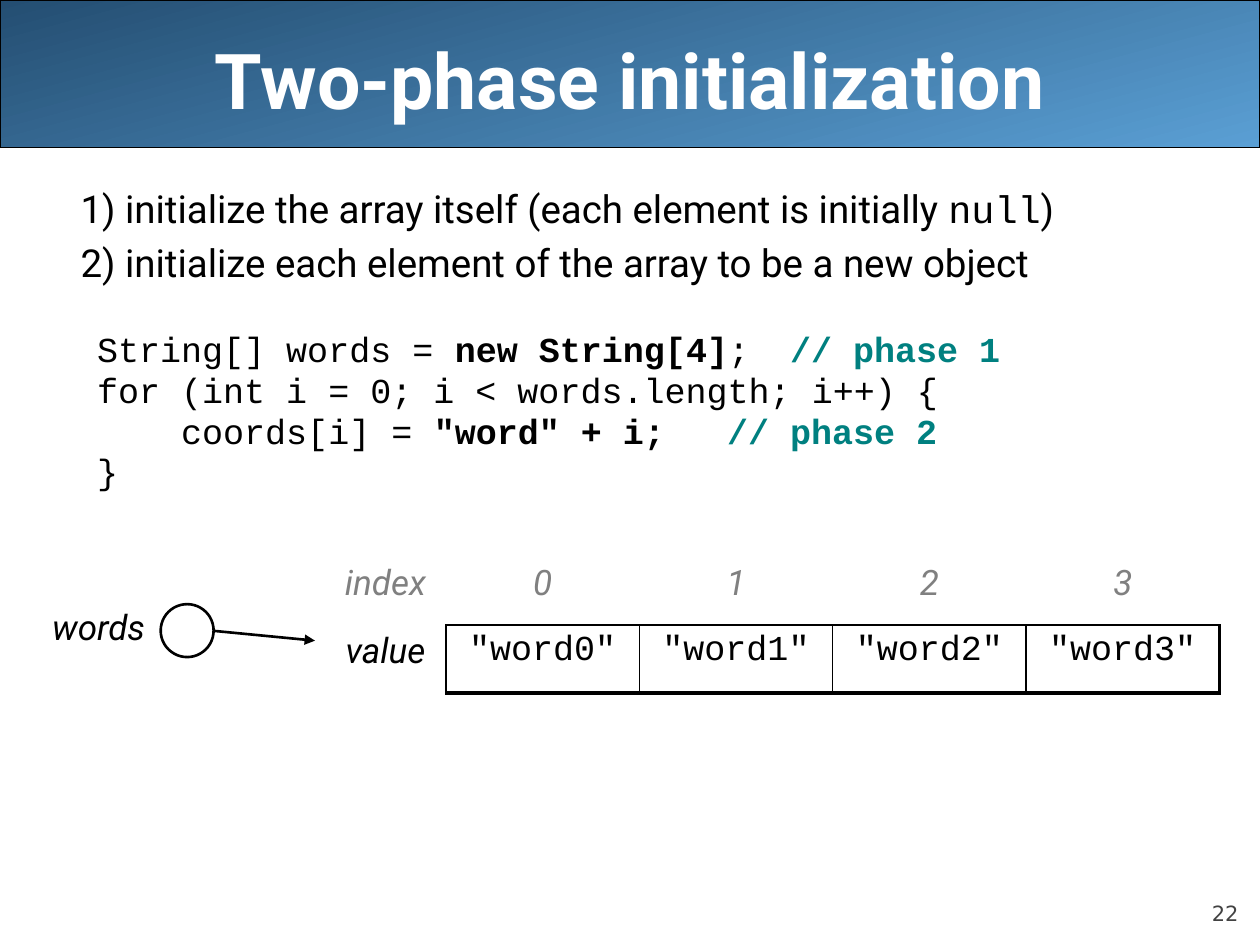
from collections import namedtuple

from lxml.etree import SubElement
from pptx import Presentation
from pptx.dml.color import RGBColor
from pptx.enum.shapes import MSO_CONNECTOR, MSO_SHAPE
from pptx.enum.text import MSO_ANCHOR, MSO_AUTO_SIZE, PP_ALIGN
from pptx.oxml.ns import qn
from pptx.util import Inches, Pt

COLUMNS, ROWS = 10, 7.5
UNIT = Inches(1)
SANS, MONO = "Roboto", "Courier New"
BLACK, WHITE, GREY, TEAL = "000000", "FFFFFF", "808080", "008080"
PLAIN_TABLE_STYLE = "{2D5ABB26-0587-4C30-8999-92F81FD0307C}"

Box = namedtuple("Box", "left top width height")

STEPS = [
    [("1) initialize the array itself (each element is initially ", SANS),
     ("null", MONO), (")", SANS)],
    [("2) initialize each element of the array to be a new object", SANS)],
]
# Each code line: plain start, bold part, plain end, comment
CODE = [
    ("String[] words = ", "new String[4]", ";", "// phase 1"),
    ("for (int i = 0; i < words.length; i++) {", "", "", ""),
    ("    coords[i] = ", '"word" + i;', "", "// phase 2"),
    ("}", "", "", ""),
]
WORDS = ['"word0"', '"word1"', '"word2"', '"word3"']


def colour(hex_string):
    return RGBColor.from_string(hex_string)


def grid(*cells):
    """Turn grid cells into slide lengths."""
    return [round(cell * UNIT) for cell in cells]


def style(font, size, name=SANS, hex_string=BLACK, bold=False, italic=False):
    font.size, font.name = Pt(size), name
    font.bold, font.italic = bold, italic
    font.color.rgb = colour(hex_string)


def place(shape, box):
    shape.left, shape.top, shape.width, shape.height = grid(*box)


def add_header(slide, banner, title_box):
    band = slide.shapes.add_shape(MSO_SHAPE.ROUNDED_RECTANGLE, *grid(*banner))
    band.adjustments[0] = 0
    band.shadow.inherit = False
    band.fill.gradient()
    band.fill.gradient_angle = 360 - 75
    for stop, shade in zip(band.fill.gradient_stops, ("244E72", "5A9FD4")):
        stop.color.rgb = colour(shade)
    band.line.color.rgb = colour(BLACK)
    band.line.width = Pt(0.75)
    slide.shapes._spTree.insert(2, band._element)

    title = slide.shapes.title
    place(title, title_box)
    title.text_frame.text = "Two-phase initialization"
    title.text_frame.vertical_anchor = MSO_ANCHOR.MIDDLE
    title.text_frame.auto_size = MSO_AUTO_SIZE.NONE
    heading = title.text_frame.paragraphs[0]
    heading.alignment = PP_ALIGN.CENTER
    style(heading.font, 44, hex_string=WHITE, bold=True)


def set_indent(paragraph, margin, hanging, tab_stops=()):
    """Set indents and tab stops, and turn the bullet off."""
    properties = paragraph._p.get_or_add_pPr()
    properties.set("marL", str(Inches(margin)))
    properties.set("indent", str(Inches(hanging)))
    SubElement(properties, qn("a:buNone"))
    if tab_stops:
        tabs = SubElement(properties, qn("a:tabLst"))
        for stop in tab_stops:
            SubElement(tabs, qn("a:tab"), pos=str(Inches(stop)), algn="l")


def add_run(paragraph, text, **looks):
    run = paragraph.add_run()
    run.text = text
    style(run.font, **looks)


def add_explanation(slide, box):
    body = slide.placeholders[1]
    place(body, box)
    frame = body.text_frame
    frame.auto_size = MSO_AUTO_SIZE.NONE
    for number, step in enumerate(STEPS):
        paragraph = frame.add_paragraph() if number else frame.paragraphs[0]
        paragraph.level = 1
        set_indent(paragraph, 0.68, -0.31)
        paragraph.space_before = Pt(4.4 if number else 0)
        for text, name in step:
            add_run(paragraph, text, size=22, name=name)

    for number, (start, strong, end, comment) in enumerate(CODE):
        paragraph = frame.add_paragraph()
        paragraph.level = 1
        set_indent(paragraph, 0, 0, tab_stops=(0.68, 7.7))
        paragraph.line_spacing = 0.8
        paragraph.space_before = Pt(4 if number else 29)
        parts = [("\t" + start, BLACK, False), (strong, BLACK, True),
                 (end, BLACK, False),
                 (comment and "\t" + comment, TEAL, True)]
        for text, shade, bold in parts:
            if text:
                add_run(paragraph, text, size=20, name=MONO,
                        hex_string=shade, bold=bold)


def set_borders(cell, **widths):
    properties = cell._tc.get_or_add_tcPr()
    for side in "LRTB":
        if side in widths:
            line = SubElement(properties, qn("a:ln" + side),
                              w=str(Pt(widths[side])))
            fill = SubElement(line, qn("a:solidFill"))
            SubElement(fill, qn("a:srgbClr"), val=BLACK)


def add_array_table(slide, box, label_width):
    count = len(WORDS)
    frame = slide.shapes.add_table(2, count + 1, *grid(*box))
    table = frame.table
    table.first_row = table.horz_banding = False
    table._tbl.tblPr.find(qn("a:tableStyleId")).text = PLAIN_TABLE_STYLE
    word_width = (box.width - label_width) / count
    for column, width in zip(table.columns, [label_width] + [word_width] * count):
        column.width = round(width * UNIT)

    contents = [["index", *map(str, range(count))], ["value", *WORDS]]
    for row, texts in enumerate(contents):
        for column, text in enumerate(texts):
            cell = table.cell(row, column)
            is_word = row == 1 and column > 0
            if is_word:
                set_borders(cell, L=1, R=2.25 if column == count else 1,
                            T=1, B=2.25)
            elif row == 1:
                set_borders(cell, R=1)
            elif column > 0:
                set_borders(cell, B=1)
            cell.fill.background()
            cell.text = text
            paragraph = cell.text_frame.paragraphs[0]
            paragraph.alignment = PP_ALIGN.CENTER
            style(paragraph.font, 20, MONO if is_word else SANS,
                  BLACK if row else GREY, italic=not is_word)


def add_text(shapes, box, text, size, name, hex_string, italic=False):
    """Add a right-aligned text box and return its frame."""
    frame = shapes.add_textbox(*grid(*box)).text_frame
    frame.word_wrap = True
    frame.text = text
    frame.paragraphs[0].alignment = PP_ALIGN.RIGHT
    style(frame.paragraphs[0].font, size, name, hex_string, italic=italic)
    return frame


def add_reference(slide, box):
    """Draw the words variable with its arrow towards the array."""
    shapes = slide.shapes.add_group_shape().shapes
    left, top, width, height = box
    add_text(shapes, Box(left, top, width / 2, height), "words", 20, SANS,
             BLACK, italic=True)

    middle = top + height / 2
    arrow = shapes.add_connector(
        MSO_CONNECTOR.STRAIGHT,
        *grid(left + width * 0.67, middle, left + width, middle + 0.08))
    arrow.line.color.rgb = colour(BLACK)
    arrow.line.width = Pt(1.5)
    SubElement(arrow.line._get_or_add_ln(), qn("a:tailEnd"), type="triangle")
    SubElement(arrow._element.spPr, qn("a:effectLst"))

    size = 0.42
    circle = shapes.add_shape(
        MSO_SHAPE.OVAL,
        *grid(left + width * 0.51, middle - size / 2, size, size))
    circle.shadow.inherit = False
    circle.fill.solid()
    circle.fill.fore_color.rgb = colour(WHITE)
    circle.line.color.rgb = colour(BLACK)
    circle.line.width = Pt(1.5)


def add_page_number(slide, box):
    frame = add_text(slide.shapes, box, "22", 12, "DejaVu Sans", "424242")
    frame.vertical_anchor = MSO_ANCHOR.BOTTOM
    frame.margin_left = frame.margin_right = 0
    frame.margin_top = frame.margin_bottom = 0


def main():
    deck = Presentation()
    deck.slide_width, deck.slide_height = grid(COLUMNS, ROWS)
    slide = deck.slides.add_slide(deck.slide_layouts[1])
    add_header(slide, Box(0, 0, COLUMNS, 1.17), Box(0.5, 0, 9, 1.25))
    add_explanation(slide, Box(0.17, 1.42, 9.83, 5.67))
    add_array_table(slide, Box(2.58, 4.42, 7.1, 1.08), label_width=0.96)
    add_reference(slide, Box(0, 4.76, 2.5, 0.49))
    add_page_number(slide, Box(9, 6.95, 0.83, 0.4))
    deck.save("out.pptx")


if __name__ == "__main__":
    main()
